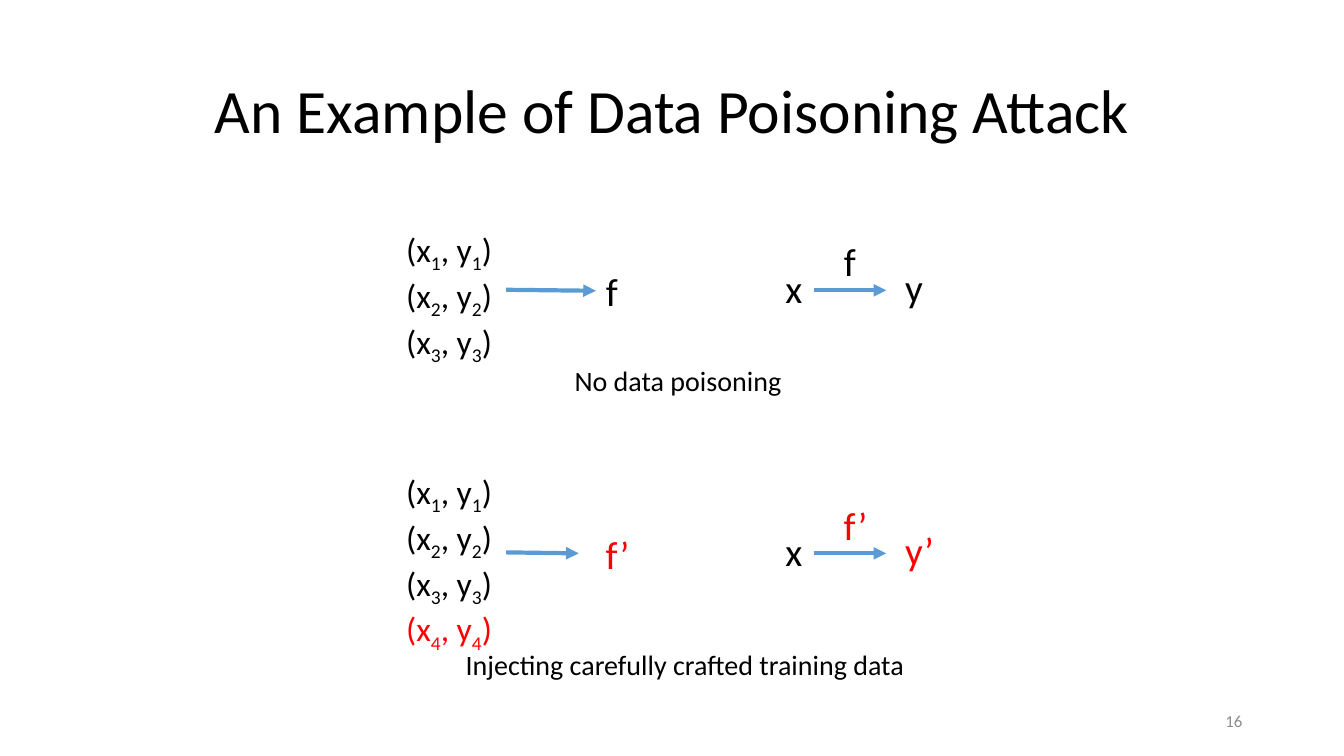
from lxml.etree import SubElement
from pptx import Presentation
from pptx.dml.color import RGBColor
from pptx.enum.shapes import MSO_CONNECTOR as Connector
from pptx.enum.text import MSO_ANCHOR as Anchor, MSO_AUTO_SIZE as AutoSize, PP_ALIGN as Align
from pptx.oxml.ns import qn
from pptx.util import Pt

PX = 9144
BLACK = RGBColor(0x00, 0x00, 0x00)
RED = RGBColor(0xFF, 0x00, 0x00)
GREY = RGBColor(0x8C, 0x8C, 0x8C)
BLUE = RGBColor(0x5B, 0x9B, 0xD5)
RIGHT_SIDE, LEFT_SIDE = 3, 1
PAIR_SIZE, SYMBOL_SIZE, CAPTION_SIZE = 24, 28, 20
PAIR_LINE, SYMBOL_HEIGHT = 41, 57


def px(*lengths):
    return [length * PX for length in lengths]


def set_values(target, values):
    for name, value in values.items():
        setattr(target, name, value)


def add_run(paragraph, text, size, color, subscript=False):
    run = paragraph.add_run()
    run.text = text
    set_values(run.font, {"name": "Calibri", "size": Pt(size)})
    run.font.color.rgb = color
    if subscript:
        run._r.get_or_add_rPr().set("baseline", "-25000")


def add_box(slide, left, top, width, height):
    box = slide.shapes.add_textbox(*px(left, top, width, height))
    set_values(box.text_frame, {"word_wrap": False, "auto_size": AutoSize.SHAPE_TO_FIT_TEXT})
    return box


def add_label(slide, text, left, top, width, height, size, color=BLACK):
    label = add_box(slide, left, top, width, height)
    add_run(label.text_frame.paragraphs[0], text, size, color)
    return label


def add_training_pairs(slide, middle, colors):
    height = 8 + PAIR_LINE * len(colors)
    pairs = add_box(slide, 393, middle - height // 2, 109, height)
    frame = pairs.text_frame
    for index, color in enumerate(colors, start=1):
        line = frame.paragraphs[0] if index == 1 else frame.add_paragraph()
        for text in ("(x", str(index), ", y", str(index), ")"):
            add_run(line, text, PAIR_SIZE, color, subscript=text.isdigit())
    return pairs


def add_arrow(slide, start_x, start_y, end_x, end_y):
    arrow = slide.shapes.add_connector(Connector.STRAIGHT, *px(start_x, start_y, end_x, end_y))
    arrow.line.width = Pt(3)
    arrow.line.color.rgb = BLUE
    SubElement(arrow.line._get_or_add_ln(), qn("a:tailEnd"), type="triangle")
    SubElement(arrow._element.spPr, qn("a:effectLst"))
    return arrow


def add_learning(slide, middle, pair_colors, mark, color, arrow_end):
    extra = 12 if mark else 0

    def add_symbol(text, left, top, width, symbol_color=color):
        return add_label(slide, text, left, top, width, SYMBOL_HEIGHT, SYMBOL_SIZE, symbol_color)

    pairs = add_training_pairs(slide, middle, pair_colors)
    model = add_symbol("f" + mark, 591, middle - 27, 32 + extra)
    training = add_arrow(slide, 502, middle, arrow_end, middle + 1)
    training.begin_connect(pairs, RIGHT_SIDE)
    if arrow_end * PX == model.left:
        training.end_connect(model, LEFT_SIDE)

    add_symbol("x", 769, middle - 30, 37, BLACK)
    add_arrow(slide, 807, middle + 1, 879, middle + 1)
    add_symbol("f" + mark, 827, middle - 56, 32 + extra)
    add_symbol("y" + mark, 888, middle - 31, 38 + extra)


def add_title(slide, text):
    title = slide.shapes.title
    left, top, width, height = px(92, 40, 1150, 145)
    set_values(title, {"left": left, "top": top, "width": width, "height": height})
    set_values(title.text_frame, {
        "word_wrap": True, "auto_size": AutoSize.NONE, "vertical_anchor": Anchor.MIDDLE})
    heading = title.text_frame.paragraphs[0]
    set_values(heading, {"alignment": Align.CENTER, "line_spacing": 0.9})
    add_run(heading, text, 44, BLACK)


def add_page_number(slide, number):
    page_number = add_label(slide, number, 942, 695, 300, 40, 12, GREY)
    set_values(page_number.text_frame, {
        "word_wrap": True, "auto_size": AutoSize.NONE, "vertical_anchor": Anchor.MIDDLE})
    page_number.text_frame.paragraphs[0].alignment = Align.RIGHT


def main():
    deck = Presentation()
    deck.slide_width, deck.slide_height = px(1333, 750)
    slide = deck.slides.add_slide(deck.slide_layouts[5])
    add_title(slide, "An Example of Data Poisoning Attack")
    add_page_number(slide, "16")
    clean_pairs = [BLACK] * 3
    add_learning(slide, 287, clean_pairs, "", BLACK, 591)
    add_learning(slide, 548, clean_pairs + [RED], "’", RED, 574)
    add_label(slide, "No data poisoning", 560, 356, 227, 44, CAPTION_SIZE)
    add_label(slide, "Injecting carefully crafted training data", 452, 637, 460, 44, CAPTION_SIZE)
    deck.save("out.pptx")


if __name__ == "__main__":
    main()
